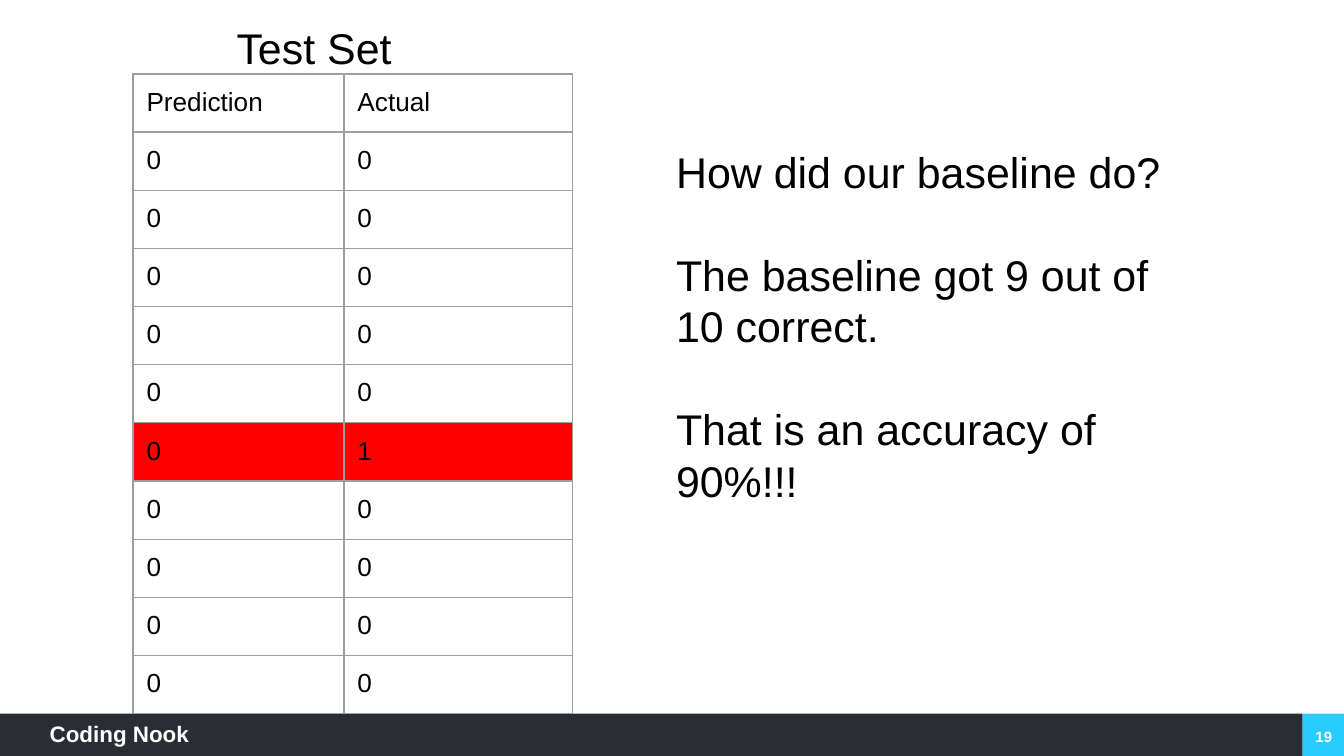
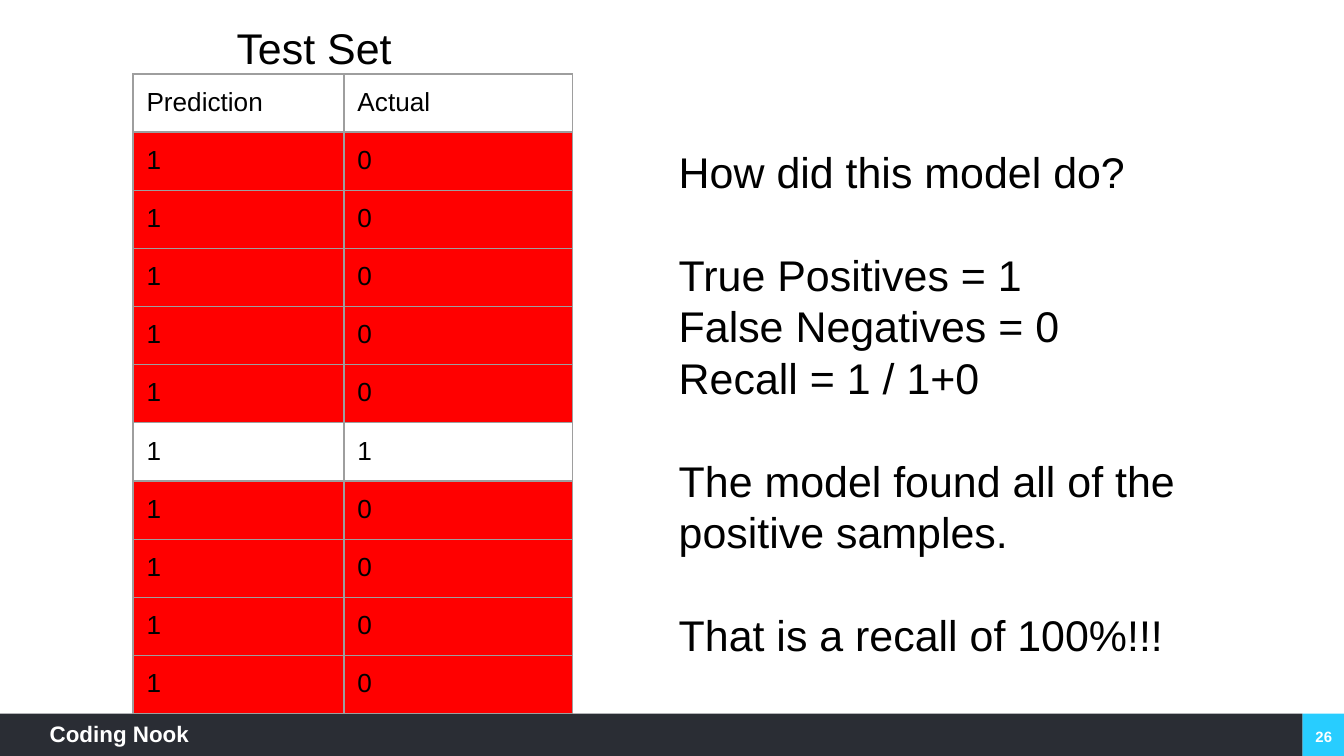
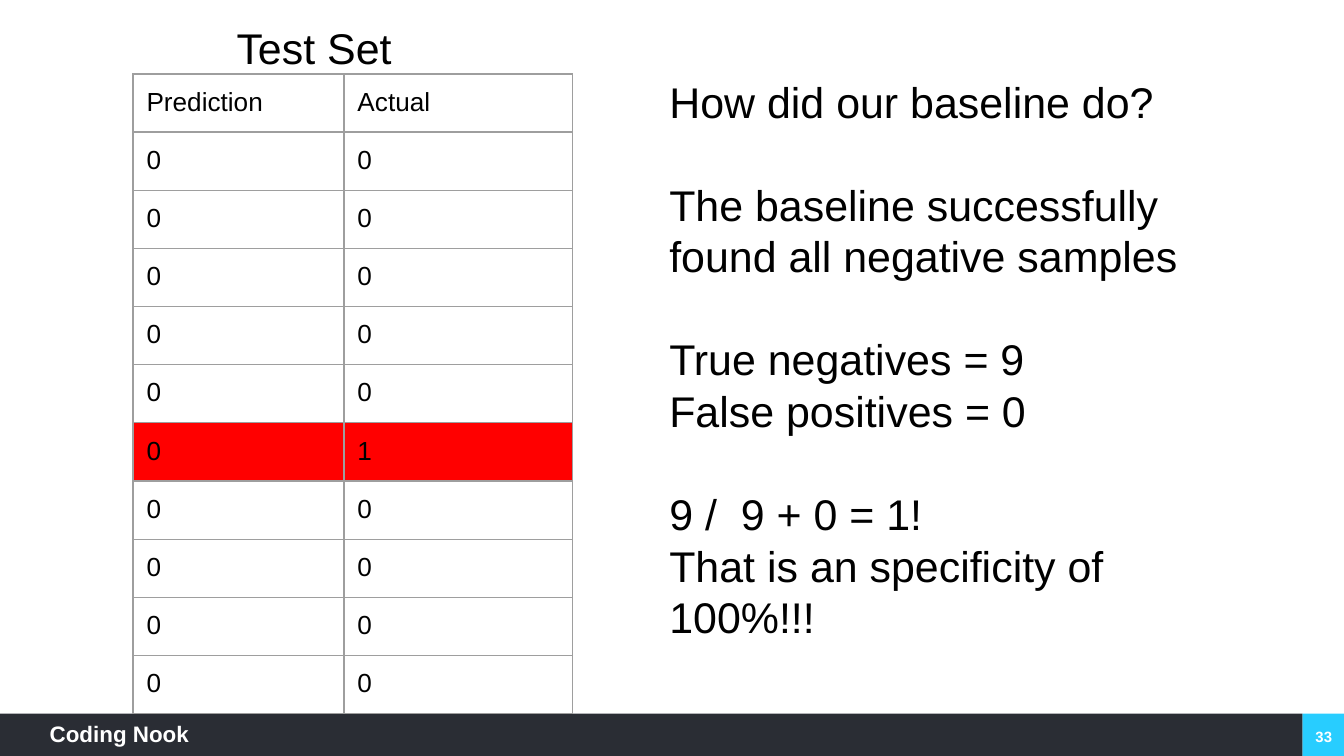
from dataclasses import dataclass

from lxml import etree
from pptx import Presentation
from pptx.dml.color import RGBColor
from pptx.enum.shapes import MSO_SHAPE
from pptx.enum.text import MSO_ANCHOR, MSO_AUTO_SIZE, PP_ALIGN
from pptx.oxml.ns import qn
from pptx.util import Inches, Pt

RECTANGLE = MSO_SHAPE.RECTANGLE
TOP, MIDDLE = MSO_ANCHOR.TOP, MSO_ANCHOR.MIDDLE
LEFT, CENTER = PP_ALIGN.LEFT, PP_ALIGN.CENTER
NO_AUTOFIT = MSO_AUTO_SIZE.NONE
TITLE_AND_CONTENT = 1


@dataclass(frozen=True)
class Theme:
    font: str = "Arial"
    ink: str = "000000"
    paper: str = "FFFFFF"
    wrong: str = "FF0000"
    grid: str = "9E9E9E"
    bar: str = "2A2D34"
    accent: str = "28CDFF"
    text_size: float = 23
    line_height: float = 27.6
    cell_size: float = 14
    footer_size: float = 12
    number_size: float = 8
    grid_width: float = 0.75


THEME = Theme()

TITLE = "Test Set"
FOOTER = "Coding Nook"
HEADER = ("Prediction", "Actual")
ACTUAL = (0, 0, 0, 0, 0, 1, 0, 0, 0, 0)

# Each inner tuple of "notes" is a group of lines; a blank line's gap parts the groups.
SLIDES = [
    {
        "number": 19,
        "prediction": 0,
        "notes_box": (4.93, 0.98, 4.05, 2.91),
        "notes": [
            ("How did our baseline do?",),
            ("The baseline got 9 out of 10 correct.",),
            ("That is an accuracy of 90%!!!",),
        ],
    },
    {
        "number": 26,
        "prediction": 1,
        "notes_box": (4.95, 0.98, 4.05, 4.07),
        "notes": [
            ("How did this model do?",),
            ("True Positives = 1", "False Negatives = 0", "Recall = 1 / 1+0"),
            ("The model found all of the positive samples.",),
            ("That is a recall of 100%!!!",),
        ],
    },
    {
        "number": 33,
        "prediction": 0,
        "notes_box": (4.88, 0.46, 4.05, 4.46),
        "notes": [
            ("How did our baseline do?",),
            ("The baseline successfully found all negative samples",),
            ("True negatives = 9", "False positives = 0"),
            ("9 /  9 + 0 = 1!", "That is an specificity of 100%!!!"),
        ],
    },
]

PAGE_WIDTH = 10
PAGE_HEIGHT = PAGE_WIDTH * 9 / 16
TITLE_BOX = (1.66, 0.06, 3.9, 0.59)
TABLE_LEFT, TABLE_TOP = 0.99, 0.55
COLUMN_WIDTHS = (1.57, 1.7)
CELL_MARGIN = 0.1
BAR_TOP, BAR_WIDTH = 5.31, 9.69
BAR_HEIGHT = PAGE_HEIGHT - BAR_TOP
FOOTER_BOX = (0.37, 5.36, 1.57, 0.23)
NUMBER_BOX = (9.7, 5.33, 0.3, 0.3)


def color(value):
    return RGBColor.from_string(value)


def place(shape, box):
    shape.left, shape.top, shape.width, shape.height = map(Inches, box)


def format_text(frame, size, ink, bold=False, align=LEFT):
    for para in frame.paragraphs:
        para.alignment = align
        for span in para.runs:
            span.font.name = THEME.font
            span.font.size = Pt(size)
            span.font.bold = bold
            span.font.color.rgb = color(ink)


def set_frame(frame, margins, anchor=TOP):
    frame.word_wrap = True
    frame.auto_size = NO_AUTOFIT
    frame.vertical_anchor = anchor
    frame.margin_left = frame.margin_right = Inches(margins[0])
    frame.margin_top = frame.margin_bottom = Inches(margins[1])


def add_band(page, box, fill):
    band = page.shapes.add_shape(RECTANGLE, *map(Inches, box))
    band.shadow.inherit = False
    band.fill.solid()
    band.fill.fore_color.rgb = color(fill)
    band.line.fill.background()


def add_label(page, text, box, size, margins=(0, 0), anchor=TOP, align=LEFT):
    frame = page.shapes.add_textbox(*map(Inches, box)).text_frame
    set_frame(frame, margins, anchor)
    frame.text = text
    format_text(frame, size, THEME.paper, bold=True, align=align)


def add_footer(page, number):
    add_band(page, (BAR_WIDTH, BAR_TOP, PAGE_WIDTH - BAR_WIDTH, BAR_HEIGHT), THEME.accent)
    add_band(page, (0, BAR_TOP, BAR_WIDTH, BAR_HEIGHT), THEME.bar)
    add_label(page, FOOTER, FOOTER_BOX, THEME.footer_size)
    add_label(page, str(number), NUMBER_BOX, THEME.number_size, (0.07, 0.04), MIDDLE, CENTER)


def set_title(page):
    title = page.shapes.title
    place(title, TITLE_BOX)
    set_frame(title.text_frame, (0.1, 0.1))
    title.text_frame.text = TITLE
    format_text(title.text_frame, THEME.text_size, THEME.ink)


def set_notes(page, groups, box):
    """Fill the body placeholder with groups of unbulleted lines."""
    body = page.placeholders[1]
    place(body, box)
    frame = body.text_frame
    set_frame(frame, (0.1, 0.1))
    frame.text = "\n".join(line for group in groups for line in group)
    format_text(frame, THEME.text_size, THEME.ink)
    group_starts = {sum(map(len, groups[:index])) for index in range(1, len(groups))}
    for index, para in enumerate(frame.paragraphs):
        para.line_spacing = Pt(THEME.line_height)
        para.space_before = Pt(THEME.line_height if index in group_starts else 0)
        para.space_after = Pt(0)
        properties = para._p.get_or_add_pPr()
        properties.set("marL", "0")
        properties.set("indent", "0")
        etree.SubElement(properties, qn("a:buNone"))


def set_borders(cell):
    properties = cell._tc.get_or_add_tcPr()
    for index, side in enumerate(("a:lnL", "a:lnR", "a:lnT", "a:lnB")):
        line = etree.Element(qn(side), w=str(Pt(THEME.grid_width)))
        fill = etree.SubElement(line, qn("a:solidFill"))
        etree.SubElement(fill, qn("a:srgbClr"), val=THEME.grid)
        properties.insert(index, line)


def add_results(page, prediction):
    """Add the table of predictions; rows that miss the actual value are red."""
    rows = [HEADER] + [(prediction, actual) for actual in ACTUAL]
    height = BAR_TOP - TABLE_TOP
    box = (TABLE_LEFT, TABLE_TOP, sum(COLUMN_WIDTHS), height)
    table = page.shapes.add_table(len(rows), len(HEADER), *map(Inches, box)).table
    table.first_row = table.horz_banding = False
    for column, width in zip(table.columns, COLUMN_WIDTHS):
        column.width = Inches(width)
    for row_index, values in enumerate(rows):
        table.rows[row_index].height = Inches(height / len(rows))
        missed = row_index > 0 and values[0] != values[1]
        for column_index, value in enumerate(values):
            cell = table.cell(row_index, column_index)
            cell.margin_left = cell.margin_right = Inches(CELL_MARGIN)
            cell.margin_top = cell.margin_bottom = Inches(CELL_MARGIN)
            cell.text_frame.text = str(value)
            format_text(cell.text_frame, THEME.cell_size, THEME.ink)
            if row_index == 0:
                cell.fill.background()
            else:
                cell.fill.solid()
                cell.fill.fore_color.rgb = color(THEME.wrong if missed else THEME.paper)
            set_borders(cell)


def main():
    deck = Presentation()
    deck.slide_width, deck.slide_height = Inches(PAGE_WIDTH), Inches(PAGE_HEIGHT)
    for content in SLIDES:
        page = deck.slides.add_slide(deck.slide_layouts[TITLE_AND_CONTENT])
        add_footer(page, content["number"])
        add_results(page, content["prediction"])
        set_title(page)
        set_notes(page, content["notes"], content["notes_box"])
    deck.save("out.pptx")


if __name__ == "__main__":
    main()
